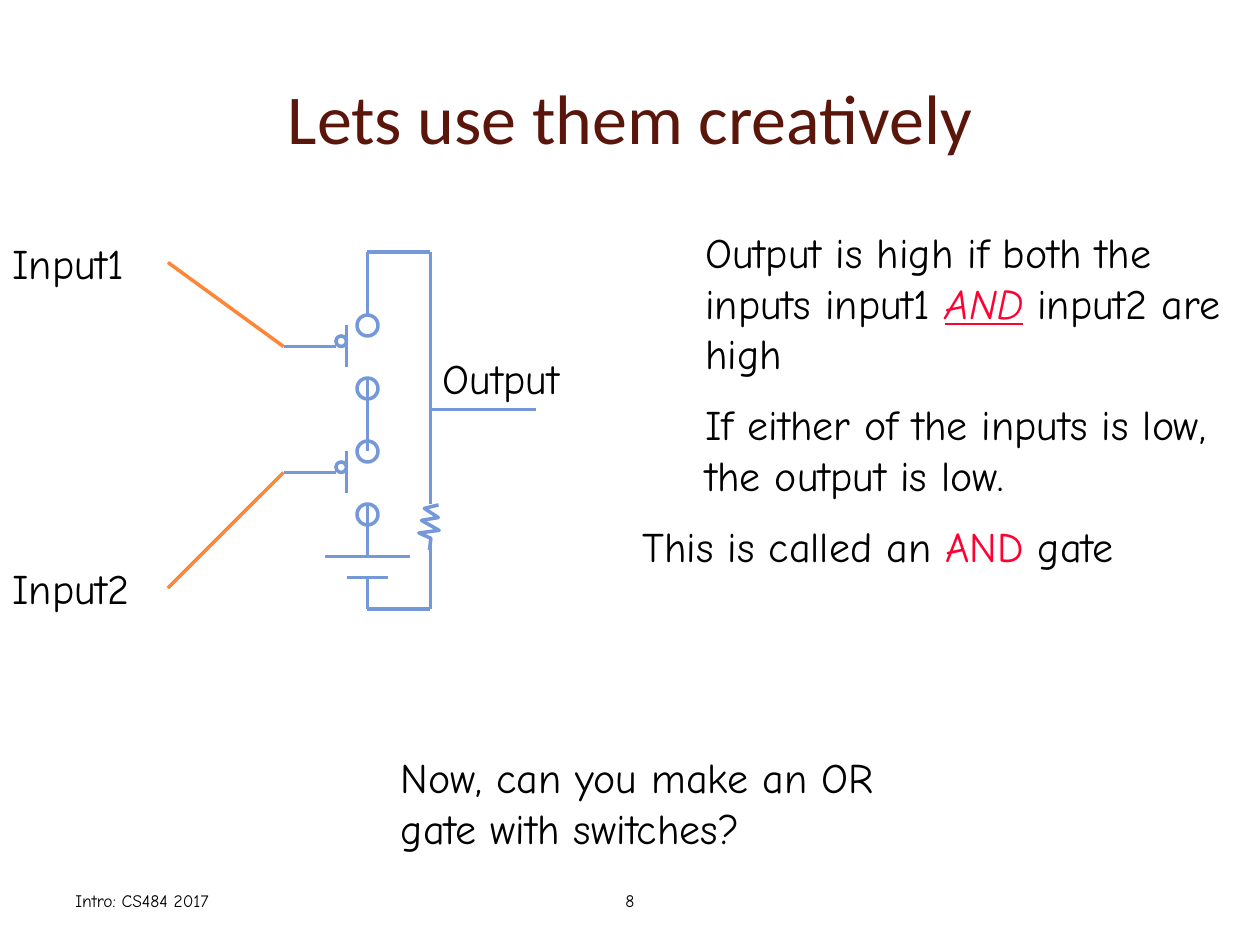
from lxml.etree import SubElement
from pptx import Presentation
from pptx.dml.color import RGBColor
from pptx.enum.shapes import MSO_CONNECTOR, MSO_SHAPE
from pptx.enum.text import MSO_ANCHOR, PP_ALIGN
from pptx.oxml.ns import qn
from pptx.util import Pt

COLORS = {"title": "5A160B", "text": "000000", "accent": "FF0033",
          "wire": "7598D9", "input": "FE8637"}
BODY_FONT = "Comic Neue"
LINE_WIDTH = 2


def color(name):
    return RGBColor.from_string(COLORS[name])


def style_line(line, name):
    line.color.rgb = color(name)
    line.width = Pt(LINE_WIDTH)


def add_wire(slide, origin, start, end, name="wire"):
    left, top = origin
    wire = slide.shapes.add_connector(
        MSO_CONNECTOR.STRAIGHT, Pt(left + start[0]), Pt(top + start[1]),
        Pt(left + end[0]), Pt(top + end[1]))
    style_line(wire.line, name)
    SubElement(wire._element.spPr, qn("a:effectLst"))


def add_ring(slide, left, top, size):
    ring = slide.shapes.add_shape(MSO_SHAPE.OVAL, Pt(left), Pt(top), Pt(size), Pt(size))
    ring.shadow.inherit = False
    ring.fill.background()
    style_line(ring.line, "wire")


def add_text(slide, box, paragraphs, size=24, align=PP_ALIGN.LEFT, anchor=MSO_ANCHOR.TOP):
    """Each paragraph is a list of (text, emphasis); emphasis is "", "color" or "strong"."""
    frame = slide.shapes.add_textbox(*map(Pt, box)).text_frame
    frame.word_wrap = True
    frame.vertical_anchor = anchor
    for index, pieces in enumerate(paragraphs):
        paragraph = frame.paragraphs[0] if index == 0 else frame.add_paragraph()
        paragraph.alignment = align
        paragraph.space_before = Pt(12 if index else 0)
        paragraph.font.name = BODY_FONT
        paragraph.font.size = Pt(size)
        for text, emphasis in pieces:
            run = paragraph.add_run()
            run.text = text
            run.font.color.rgb = color("accent" if emphasis else "text")
            if emphasis == "strong":
                run.font.italic = run.font.underline = True


def add_title(slide, box):
    title = slide.shapes.title
    title.left, title.top, title.width, title.height = map(Pt, box)
    frame = title.text_frame
    frame.text = "Lets use them creatively"
    frame.vertical_anchor = MSO_ANCHOR.MIDDLE
    paragraph = frame.paragraphs[0]
    paragraph.alignment = PP_ALIGN.CENTER
    paragraph.font.name = "Calibri"
    paragraph.font.size = Pt(40)
    paragraph.font.color.rgb = color("title")


def add_switch(slide, origin):
    """Two contacts, a bar with its control ring, and the lead to the input."""
    left, top = origin
    for contact_top in (0, 36):
        # Contacts are centred on the supply wire
        add_ring(slide, left + 42, top + contact_top, 12)
    add_wire(slide, origin, (36, 30), (36, 6))
    add_ring(slide, left + 30, top + 12, 6)
    add_wire(slide, origin, (30, 18), (0, 18))


def add_resistor(slide, origin):
    left, top = origin
    zigzag = [(9.2, 0), (1.4, 3), (10, 7.2), (0.6, 10), (11.3, 14.4),
              (0, 17.3), (7.2, 19.5), (7.2, 26.3)]
    points = [(Pt(left + x), Pt(top + y)) for x, y in zigzag]
    builder = slide.shapes.build_freeform(*points[0])
    builder.add_line_segments(points[1:], close=False)
    resistor = builder.convert_to_shape()
    resistor.rotation = 7
    resistor.shadow.inherit = False
    resistor.fill.background()
    style_line(resistor.line, "wire")


def add_circuit(slide, origin):
    left, top = origin
    supply, load, bottom = 114, 150, 204
    wires = [
        # Supply side, through both switches
        ((supply, 0), (supply, 36)), ((supply, 72), (supply, 114)),
        ((supply, 144), (supply, 174)),
        # Battery plates
        ((90, 174), (138, 174)), ((102, 186), (126, 186)),
        ((supply, 186), (supply, bottom)),
        # Load side, above and below the resistor
        ((load, 0), (load, 144)), ((load, 168), (load, bottom)),
        # Top, bottom and output
        ((supply, 0), (load, 0)), ((supply, bottom), (load, bottom)),
        ((load, 90), (210, 90)),
    ]
    for start, end in wires:
        add_wire(slide, origin, start, end)
    add_resistor(slide, (left + 143.8, top + 144))
    for switch_top, input_top in ((36, 6), (108, 192)):
        add_switch(slide, (left + 66, top + switch_top))
        add_wire(slide, origin, (0, input_top), (66, switch_top + 18), "input")

    # Labels
    for label, x, y, width in (("Input1", -96, -12, 108), ("Input2", -96, 174, 96),
                               ("Output", 150, 54, 102)):
        add_text(slide, (left + x, top + y, width, 36), [[(label, "")]])


def add_explanation(slide, origin):
    left, top = origin
    add_text(slide, (left + 36, top, 312, 104), [
        [("Output is high if both the inputs input1 ", ""), ("AND", "strong"),
         (" input2 are high", "")],
        [("If either of the inputs is low, the output is low.", "")]])
    add_text(slide, (left, top + 168, 330, 29), [
        [("This is called an ", ""), ("AND", "color"), (" gate", "")]])


def add_question(slide, box):
    add_text(slide, box, [[("Now, can you make an OR gate with switches?", "")]])


def add_footer(slide, box):
    left, top, width, height = box
    for text, x, part_width, align in (("Intro: CS484 2017", 0, 168, PP_ALIGN.LEFT),
                                       ("8", (width - 228) / 2, 228, PP_ALIGN.CENTER)):
        add_text(slide, (left + x, top, part_width, height), [[(text, "")]],
                 10, align, MSO_ANCHOR.MIDDLE)


def main():
    deck = Presentation()
    deck.slide_width, deck.slide_height = Pt(720), Pt(540)
    slide = deck.slides.add_slide(deck.slide_layouts[5])
    add_title(slide, (36, 21.6, 648, 90))
    add_circuit(slide, (96, 144))
    add_explanation(slide, (360, 126))
    add_question(slide, (222, 426, 324, 50))
    add_footer(slide, (36, 500.4, 648, 28.8))
    deck.save("out.pptx")


if __name__ == "__main__":
    main()
